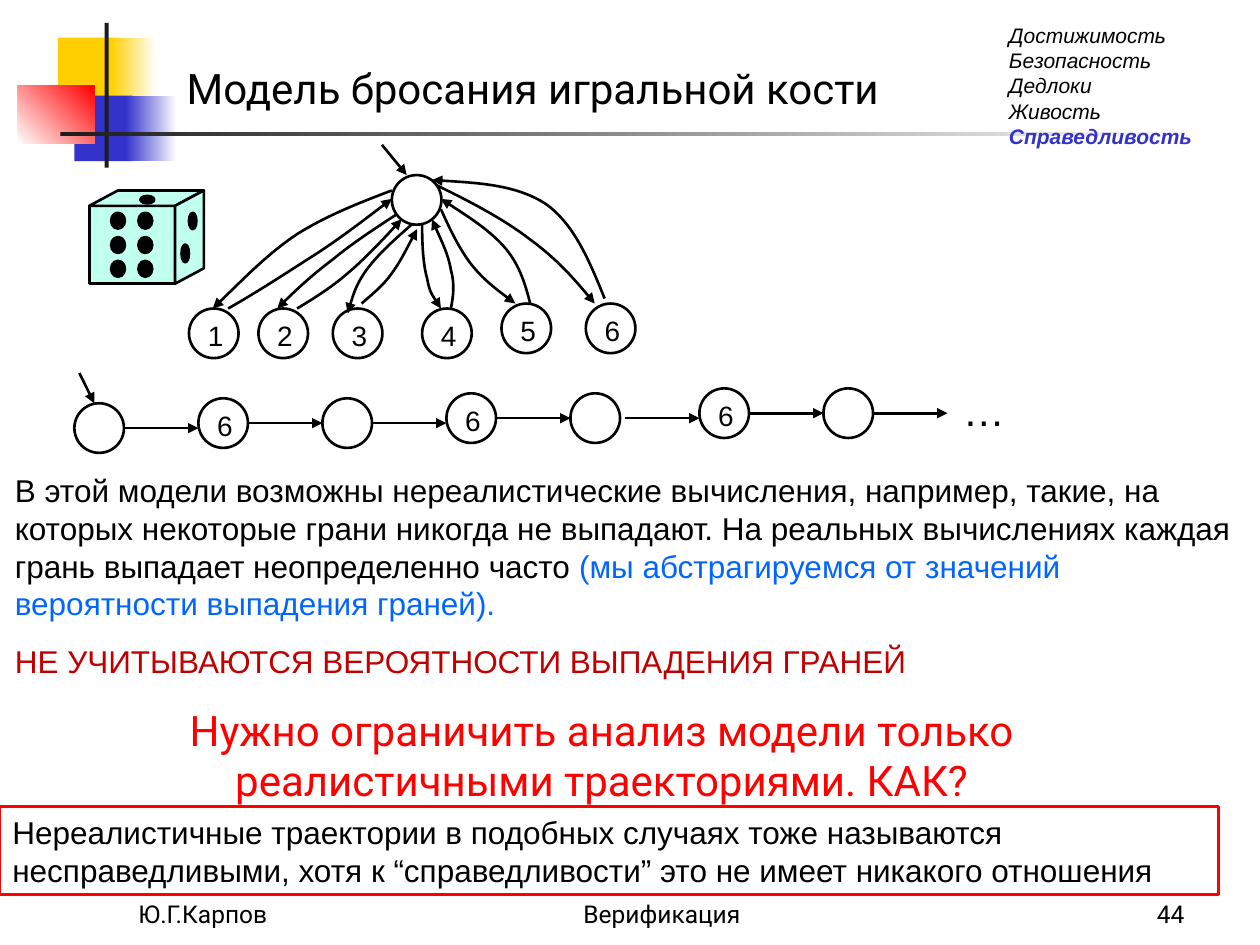
from lxml.etree import SubElement
from pptx import Presentation
from pptx.dml.color import RGBColor
from pptx.enum.shapes import MSO_CONNECTOR as Connector, MSO_SHAPE as Preset
from pptx.enum.text import MSO_ANCHOR as Anchor, MSO_AUTO_SIZE as AutoSize, PP_ALIGN as Align
from pptx.oxml.ns import qn
from pptx.util import Cm, Pt

BLACK, WHITE, YELLOW, BLUE, RED = "000000", "FFFFFF", "FFCF01", "3333CC", "FF0000"
CHARCOAL, MINT = "1C1C1C", "C1FFEF"
NODE = 1

DECOR = [
    (1.17, 0.76, 1.22, 1.32, [YELLOW], 0),
    (2.24, 0.76, 0.91, 1.32, [YELLOW, WHITE], 0),
    (1.5, 1.93, 1.17, 1.32, [BLUE], 0),
    (2.54, 1.93, 1.02, 1.32, [BLUE, WHITE], 0),
    (0.36, 1.73, 1.55, 1.17, [WHITE, RED], 45),
    (2.11, 0.46, 0.08, 2.92, [CHARCOAL], 0),
    (1.22, 2.67, 22.86, 0.08, [CHARCOAL, WHITE], 0),
]
FACES = [(3.81, 6.22), (5.21, 6.22), (6.71, 6.22), (8.51, 6.22), (10.11, 6.12), (11.81, 6.12)]
THROWS = [
    [(7.9, 3.84), (7.24, 4.09), (6.6, 4.34), (5.99, 4.72), (5.38, 5.13), (4.85, 5.69), (4.29, 6.22)],
    [(4.6, 6.22), (5.13, 5.92), (5.64, 5.59), (6.2, 5.23), (6.76, 4.88), (7.32, 4.45), (7.9, 4.01)],
    [(8, 4.32), (7.54, 4.62), (7.11, 4.9), (6.71, 5.23), (6.3, 5.54), (5.94, 5.87), (5.59, 6.22)],
    [(5.99, 6.22), (6.32, 6.02), (6.65, 5.82), (7.01, 5.51), (7.34, 5.23), (7.72, 4.83), (8.1, 4.42)],
    [(8.31, 4.52), (7.95, 4.83), (7.62, 5.13), (7.39, 5.44), (7.19, 5.72), (7.09, 6.02), (7.01, 6.32)],
    [(7.29, 6.12), (7.49, 5.94), (7.72, 5.77), (7.9, 5.51), (8.08, 5.26), (8.23, 4.95), (8.41, 4.62)],
    [(8.51, 4.52), (8.51, 4.93), (8.53, 5.33), (8.61, 5.61), (8.66, 5.89), (8.79, 6.07), (8.89, 6.22)],
    [(9.09, 6.22), (9.14, 5.97), (9.17, 5.72), (9.09, 5.44), (9.04, 5.13), (8.86, 4.78), (8.71, 4.42)],
    [(8.89, 4.22), (9.07, 4.62), (9.25, 5), (9.5, 5.33), (9.75, 5.64), (10.08, 5.89), (10.39, 6.12)],
    [(10.69, 6.12), (10.59, 5.74), (10.49, 5.38), (10.21, 5.03), (9.91, 4.67), (9.4, 4.34), (8.89, 4.01)],
    [(8.79, 3.73), (9.47, 4.06), (10.16, 4.42), (10.69, 4.83), (11.23, 5.23), (11.61, 5.66), (11.99, 6.12)],
    [(12.19, 6.02), (11.89, 5.28), (11.58, 4.52), (11, 4.11), (10.41, 3.73), (9.55, 3.68), (8.71, 3.63)],
]
TRACE = [(1.5, ""), (4, "6"), (6.5, ""), (9, "6"), (11.5, ""), (14.1, "6"), (16.6, "")]


def color(value):
    return RGBColor.from_string(value)


def style(shape, fill=None, line=None):
    shape.shadow.inherit = False
    if fill:
        shape.fill.solid()
        shape.fill.fore_color.rgb = color(fill)
    else:
        shape.fill.background()
    if line:
        outline(shape, line)
    else:
        shape.line.fill.background()


def outline(shape, value):
    shape.line.color.rgb = color(value)
    shape.line.width = Pt(1.5)


def add_preset(page, preset, left, top, width, height, fill=None, line=None):
    shape = page.shapes.add_shape(preset, Cm(left), Cm(top), Cm(width), Cm(height))
    style(shape, fill, line)
    return shape


def add_decor(page, left, top, width, height, colors, angle):
    block = add_preset(page, Preset.RECTANGLE, left, top, width, height, colors[0])
    if len(colors) > 1:
        block.fill.gradient()
        block.fill.gradient_angle = angle
        for stop, value in zip(block.fill.gradient_stops, colors):
            stop.color.rgb = color(value)


def add_outline(page, points, fill=None, close=False):
    corners = [(Cm(x), Cm(y)) for x, y in points]
    builder = page.shapes.build_freeform(*corners[0])
    builder.add_line_segments(corners[1:], close=close)
    shape = builder.convert_to_shape()
    style(shape, fill, BLACK)
    return shape


def add_arrowhead(shape):
    line = shape.element.find(qn("p:spPr")).find(qn("a:ln"))
    SubElement(line, qn("a:tailEnd"), type="triangle")


def add_curve(page, points):
    curve = add_outline(page, points)
    steps = list(curve.element.iter(qn("a:lnTo")))
    route = steps[0].getparent()
    for start in range(0, len(steps), 3):
        bend = SubElement(route, qn("a:cubicBezTo"))
        for step in steps[start:start + 3]:
            bend.append(step[0])
            route.remove(step)
    add_arrowhead(curve)


def add_arrow(page, x1, y1, x2, y2):
    arrow = page.shapes.add_connector(Connector.STRAIGHT, Cm(x1), Cm(y1), Cm(x2), Cm(y2))
    outline(arrow, BLACK)
    add_arrowhead(arrow)
    SubElement(arrow.element.find(qn("p:spPr")), qn("a:effectLst"))


def add_span(para, text, size, value=BLACK, font="Arial", bold=False, italic=False):
    span = para.add_run()
    span.text = text
    span.font.name = font
    span.font.size = Pt(size)
    span.font.color.rgb = color(value)
    span.font.bold = bold
    span.font.italic = italic


def set_frame(box, align=Align.LEFT, anchor=Anchor.TOP):
    frame = box.text_frame
    frame.word_wrap = True
    frame.auto_size = AutoSize.NONE
    frame.vertical_anchor = anchor
    frame.paragraphs[0].alignment = align
    return frame.paragraphs[0]


def add_box(page, left, top, width, height, align=Align.LEFT, anchor=Anchor.TOP):
    box = page.shapes.add_textbox(Cm(left), Cm(top), Cm(width), Cm(height))
    return box, set_frame(box, align, anchor)


def add_node(page, left, top, label=""):
    add_preset(page, Preset.OVAL, left, top, NODE, NODE, line=BLACK)
    if label:
        para = add_box(page, left + 0.09, top + 0.08, 0.89, 0.94, Align.CENTER)[1]
        add_span(para, label, 16)


def add_title(page):
    title = page.shapes.title
    title.left, title.top, title.width, title.height = Cm(3.51), Cm(0.71), Cm(16.61), Cm(1.7)
    para = set_frame(title, anchor=Anchor.BOTTOM)
    add_span(para, "Модель бросания игральной кости", 24, font="Roboto")


def add_die(page):
    left, right, shift = 1.8, 3.53, 0.58
    top, bottom, rise = 4.15, 5.72, 0.31
    add_preset(page, Preset.RECTANGLE, left, top, right - left, bottom - top, MINT, BLACK)
    upper = [(left, top), (left + shift, top - rise), (right + shift, top - rise), (right, top)]
    side = [(right, bottom), (right, top), (right + shift, top - rise), (right + shift, bottom - rise)]
    for corners in (upper, side):
        add_outline(page, corners, MINT, close=True)
    pips = [(x, y, 0.28, 0.32) for x in (2.24, 2.79) for y in (4.29, 4.78, 5.26)]
    pips += [(3.66, 4.93, 0.15, 0.36), (3.81, 4.29, 0.15, 0.33), (2.83, 3.95, 0.28, 0.15)]
    for pip in pips:
        add_preset(page, Preset.OVAL, *pip, BLACK, BLACK)


def add_model(page):
    add_node(page, 7.9, 3.53)
    add_arrow(page, 7.7, 2.92, 8.2, 3.53)
    for number, (left, top) in enumerate(FACES, 1):
        add_node(page, left, top, str(number))
    for points in THROWS:
        add_curve(page, points)


def add_trace(page):
    ends = [left for left, label in TRACE[1:]] + [19.1]
    for index, ((left, label), end) in enumerate(zip(TRACE, ends)):
        top = 8.13 - 0.1 * ((index + 1) // 2)
        add_node(page, left, top, label)
        add_arrow(page, end - 1.5, top + NODE / 2, end, top + NODE / 2)
    add_arrow(page, 1.6, 7.52, 1.9, 8.13)
    add_span(add_box(page, 18.49, 7.62, 2.69, 1.27, Align.CENTER)[1], "…", 24)


def add_topics(page):
    para = add_box(page, 20.09, 0.33, 4.8, 2.79)[1]
    for topic in ("Достижимость", "Безопасность", "Дедлоки", "Живость"):
        add_span(para, topic, 12, italic=True)
        para.add_line_break()
    add_span(para, "Справедливость", 12, BLUE, bold=True, italic=True)


def add_explanation(page):
    box, para = add_box(page, 0.05, 9.37, 25.04, 4.47)
    add_span(para, "В этой модели возможны нереалистические вычисления, например, такие, "
             "на которых некоторые грани никогда не выпадают. На реальных вычислениях "
             "каждая грань выпадает неопределенно часто ", 18)
    add_span(para, "(мы абстрагируемся от значений вероятности выпадения граней).", 18, "0066FF")
    para = box.text_frame.add_paragraph()
    para.space_before = Pt(11.2)
    add_span(para, "НЕ УЧИТЫВАЮТСЯ ВЕРОЯТНОСТИ ВЫПАДЕНИЯ ГРАНЕЙ", 18, "C00000")


def add_conclusion(page):
    frame = add_preset(page, Preset.RECTANGLE, 0, 16.26, 24.56, 1.78, line=RED)
    add_span(set_frame(frame), "Нереалистичные траектории в подобных случаях тоже называются "
             "несправедливыми, хотя к “справедливости” это не имеет никакого отношения", 18)
    question = add_box(page, 0.41, 14.07, 23.44, 2.29, Align.CENTER)[1]
    add_span(question, "Нужно ограничить анализ модели только реалистичными траекториями. КАК?",
             24, RED, "Roboto")


def add_footer(page):
    for text, left, width, align in (("Ю.Г.Карпов", 2.54, 5.28, Align.LEFT),
                                     ("Верификация", 9.32, 8.05, Align.CENTER),
                                     ("44", 18.85, 5.28, Align.RIGHT)):
        para = add_box(page, left, 17.58, width, 1.27, align, Anchor.BOTTOM)[1]
        add_span(para, text, 14, font="Roboto")


def main():
    deck = Presentation()
    deck.slide_width, deck.slide_height = Cm(25.4), Cm(19.05)
    page = deck.slides.add_slide(deck.slide_layouts[5])
    for block in DECOR:
        add_decor(page, *block)
    add_title(page)
    for add_part in (add_die, add_model, add_trace, add_explanation,
                     add_conclusion, add_topics, add_footer):
        add_part(page)
    deck.save("out.pptx")


if __name__ == "__main__":
    main()
